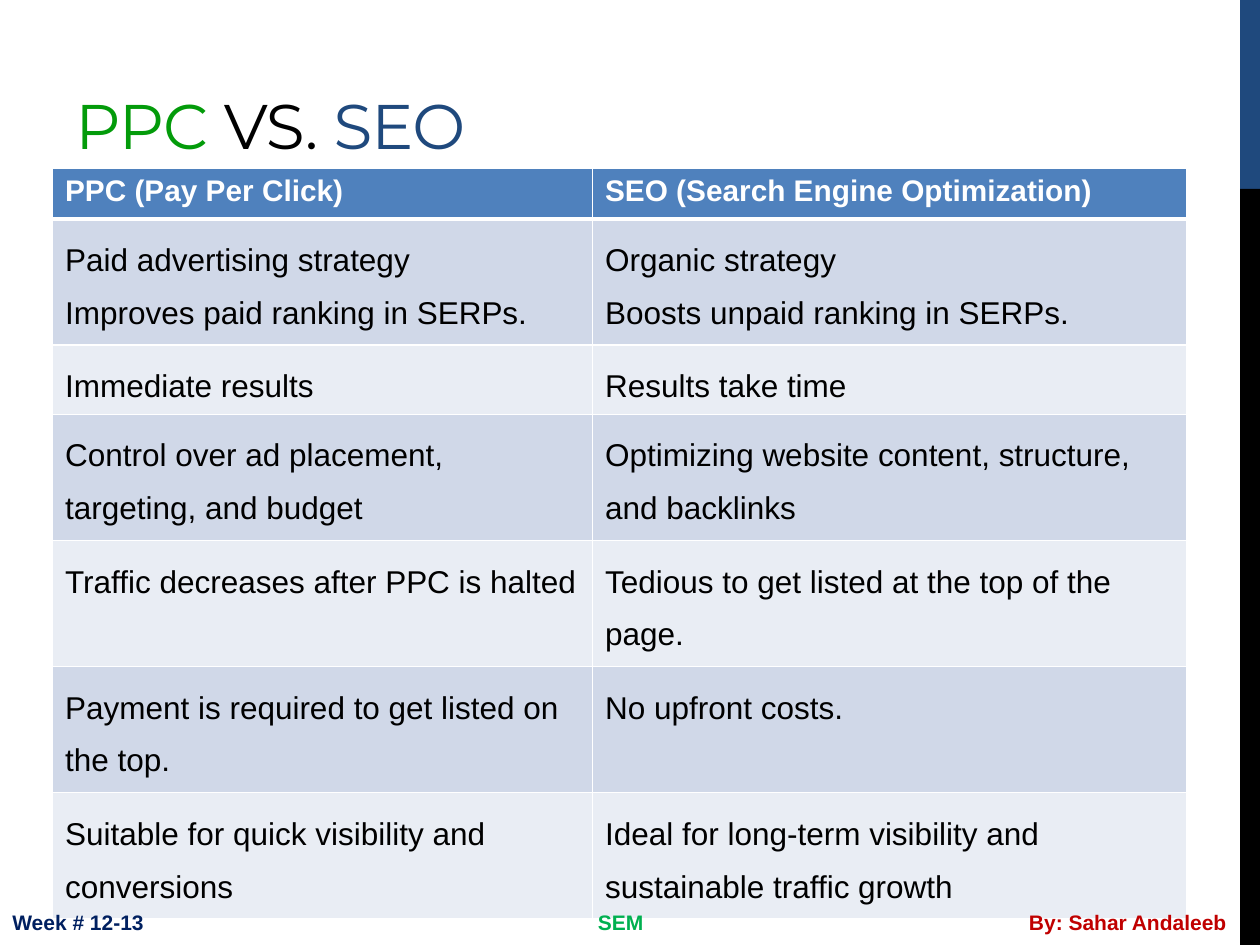
from dataclasses import dataclass

from lxml import etree
from pptx import Presentation
from pptx.dml.color import RGBColor
from pptx.enum.shapes import MSO_SHAPE
from pptx.enum.text import MSO_ANCHOR, PP_ALIGN
from pptx.oxml.ns import qn
from pptx.util import Pt

RECTANGLE = MSO_SHAPE.RECTANGLE
TOP, BOTTOM = MSO_ANCHOR.TOP, MSO_ANCHOR.BOTTOM
LEFT, CENTER, RIGHT = PP_ALIGN.LEFT, PP_ALIGN.CENTER, PP_ALIGN.RIGHT


@dataclass(frozen=True)
class Theme:
    """Colours, fonts and type sizes of the slide."""

    title_font: str = "Montserrat"
    body_font: str = "Arial"
    title_size: float = 36
    header_size: float = 17
    body_size: float = 18
    footer_size: float = 12
    title_tracking: float = -0.6
    white: str = "FFFFFF"
    black: str = "000000"
    navy: str = "1F497D"
    title_green: str = "039B0A"
    header: str = "4F81BD"
    bands: tuple = ("D0D8E8", "E9EDF4")
    week: str = "002060"
    topic: str = "00B050"
    author: str = "C00000"


THEME = Theme()

TITLE = [("PPC ", THEME.title_green), ("VS. ", THEME.black), ("SEO", THEME.navy)]
HEADINGS = ["PPC (Pay Per Click)", "SEO (Search Engine Optimization)"]
COMPARISONS = [
    (["Paid advertising strategy", "Improves paid ranking in SERPs."],
     ["Organic strategy", "Boosts unpaid ranking in SERPs."]),
    (["Immediate results"], ["Results take time"]),
    (["Control over ad placement, targeting, and budget"],
     ["Optimizing website content, structure, and backlinks"]),
    (["Traffic decreases after PPC is halted"],
     ["Tedious to get listed at the top of the page."]),
    (["Payment is required to get listed on the top."], ["No upfront costs."]),
    (["Suitable for quick visibility and conversions"],
     ["Ideal for long-term visibility and sustainable traffic growth"]),
]
COLUMN_WIDTHS = [308.6, 339.4]
HEADER_HEIGHT, SINGLE_HEIGHT, DOUBLE_HEIGHT = 29.2, 38.9, 70.6
ROW_HEIGHTS = [HEADER_HEIGHT, DOUBLE_HEIGHT, SINGLE_HEIGHT] + [DOUBLE_HEIGHT] * 4


def add_run(paragraph, text, font_name, size, color, bold=False):
    """Append one styled run to a paragraph and return it."""
    run = paragraph.add_run()
    run.text = text
    run.font.name = font_name
    run.font.size = Pt(size)
    run.font.bold = bold
    run.font.color.rgb = RGBColor.from_string(color)
    return run


def add_text_box(slide, box, anchor, alignment):
    """Add a wrapping text box and return its first paragraph."""
    frame = slide.shapes.add_textbox(*map(Pt, box)).text_frame
    frame.word_wrap = True
    frame.vertical_anchor = anchor
    paragraph = frame.paragraphs[0]
    paragraph.alignment = alignment
    return paragraph


def add_side_band(slide, box):
    """Fill the box with a navy fifth above a black remainder."""
    left, top, width, height = box
    split = height / 5
    for offset, part, color in [(0, split, THEME.navy), (split, height - split, THEME.black)]:
        shape = slide.shapes.add_shape(
            RECTANGLE, Pt(left), Pt(top + offset), Pt(width), Pt(part))
        shape.shadow.inherit = False
        shape.fill.solid()
        shape.fill.fore_color.rgb = RGBColor.from_string(color)
        shape.line.fill.background()


def add_title(slide, box):
    """Place the coloured title at the bottom of the box."""
    paragraph = add_text_box(slide, box, BOTTOM, LEFT)
    for text, color in TITLE:
        run = add_run(paragraph, text, THEME.title_font, THEME.title_size, color)
        run.font._element.set("spc", str(round(THEME.title_tracking * 100)))


def style_cell(cell, fill, bottom_width=1, top_width=1):
    """Give a cell white borders and a solid fill."""
    properties = cell._tc.get_or_add_tcPr()
    for side, width in [("L", 1), ("R", 1), ("T", top_width), ("B", bottom_width)]:
        line = etree.SubElement(properties, qn(f"a:ln{side}"), w=str(Pt(width)))
        solid = etree.SubElement(line, qn("a:solidFill"))
        etree.SubElement(solid, qn("a:srgbClr"), val=THEME.white)
    cell.fill.solid()
    cell.fill.fore_color.rgb = RGBColor.from_string(fill)


def fill_header(table):
    """Write the bold heading row above a thick rule."""
    for column, heading in enumerate(HEADINGS):
        cell = table.cell(0, column)
        style_cell(cell, THEME.header, bottom_width=3)
        add_run(cell.text_frame.paragraphs[0], heading, THEME.body_font,
                THEME.header_size, THEME.white, bold=True)


def fill_comparisons(table):
    """Write the comparison rows on alternating bands."""
    for row, comparison in enumerate(COMPARISONS, start=1):
        for column, lines in enumerate(comparison):
            cell = table.cell(row, column)
            style_cell(cell, THEME.bands[(row - 1) % 2], top_width=3 if row == 1 else 1)
            frame = cell.text_frame
            for index, text in enumerate(lines):
                paragraph = frame.add_paragraph() if index else frame.paragraphs[0]
                paragraph.line_spacing = 1.5
                add_run(paragraph, text, THEME.body_font, THEME.body_size, THEME.black)


def add_comparison_table(slide, box):
    """Place the two-column comparison table in the box."""
    table = slide.shapes.add_table(
        len(ROW_HEIGHTS), len(COLUMN_WIDTHS), *map(Pt, box)).table
    for column, width in zip(table.columns, COLUMN_WIDTHS):
        column.width = Pt(width)
    for row, height in zip(table.rows, ROW_HEIGHTS):
        row.height = Pt(height)
    fill_header(table)
    fill_comparisons(table)


def add_footer(slide, box):
    """Place week, topic and author along the box."""
    left, top, width, height = box
    entries = [
        ("Week # 12-13", 0, 110.9, LEFT, THEME.week),
        ("SEM", 181.4, 346.6, CENTER, THEME.topic),
        ("By: Sahar Andaleeb", width - 180, 180, RIGHT, THEME.author),
    ]
    for text, offset, part, alignment, color in entries:
        paragraph = add_text_box(slide, (left + offset, top, part, height), TOP, alignment)
        add_run(paragraph, text, THEME.body_font, THEME.footer_size, color, bold=True)


def main():
    """Build the comparison slide and save it."""
    presentation = Presentation()
    presentation.slide_width, presentation.slide_height = Pt(720), Pt(540)
    slide = presentation.slides.add_slide(presentation.slide_layouts[6])
    add_side_band(slide, (708.6, 0, 11.4, 540))
    add_title(slide, (36, 12, 456, 84))
    add_comparison_table(slide, (30, 96, sum(COLUMN_WIDTHS), sum(ROW_HEIGHTS)))
    add_footer(slide, (0, 516.2, 708, 21.8))
    presentation.save("out.pptx")


if __name__ == "__main__":
    main()
